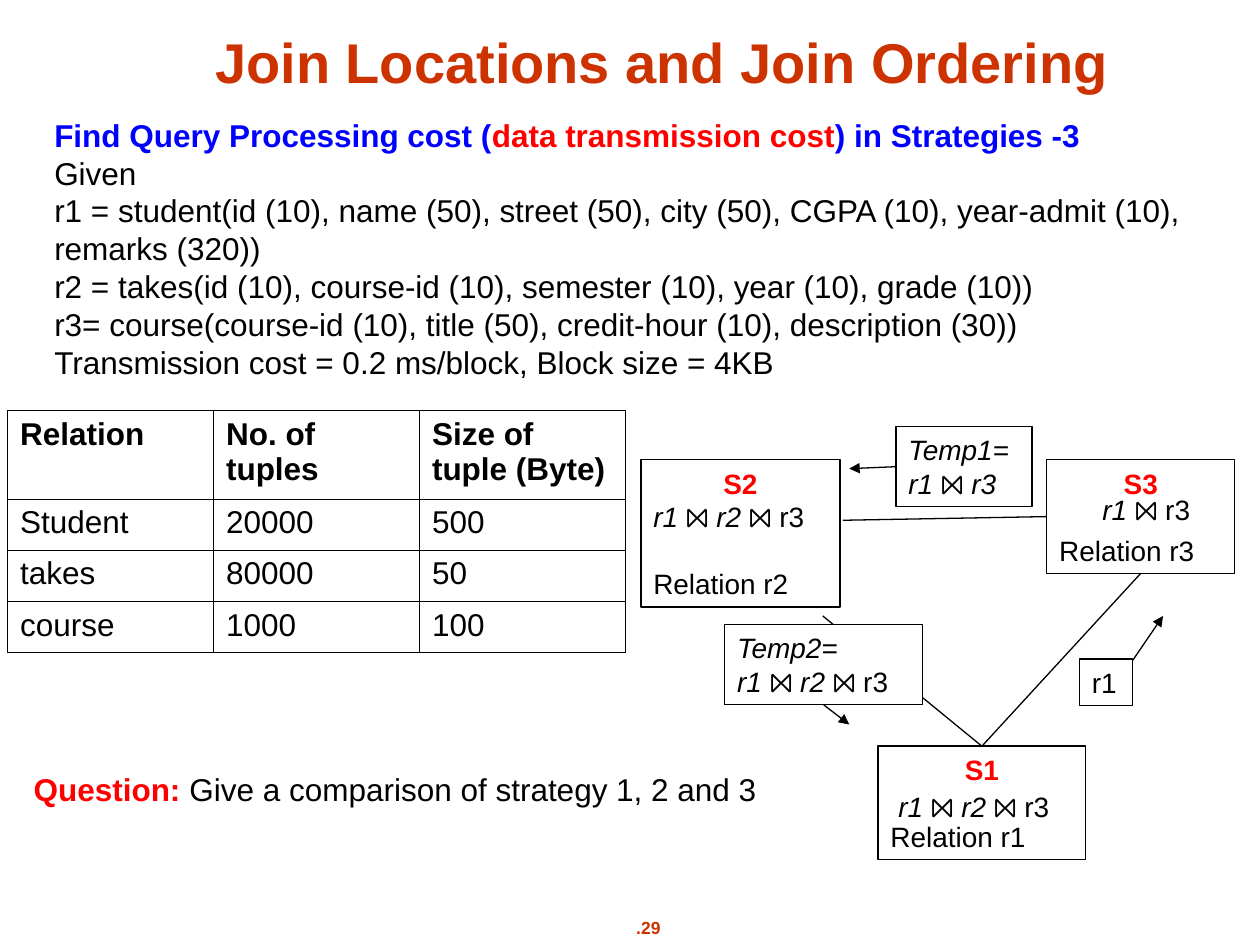
"""Build the slide on join locations and join ordering."""
import pptx
import pptx.dml.color
import pptx.enum.shapes
import pptx.enum.text
import pptx.oxml.ns
import pptx.util
from lxml import etree

Pt = pptx.util.Pt
PP_ALIGN = pptx.enum.text.PP_ALIGN
ANCHOR = pptx.enum.text.MSO_ANCHOR
FONT = "Arial"
COLORS = {"black": "000000", "white": "FFFFFF", "red": "FF0000",
          "blue": "0000FF", "title": "CC3300"}
LINE_FACTOR = 1.2
TABLE_ROWS = [
    ["Relation", "No. of tuples", "Size of tuple (Byte)"],
    ["Student", "20000", "500"],
    ["takes", "80000", "50"],
    ["course", "1000", "100"],
]
GIVEN = [
    "Given",
    "r1 = student(id (10), name (50), street (50), city (50), CGPA (10), year-admit (10), remarks (320))",
    "r2 = takes(id (10), course-id (10), semester (10), year (10), grade (10))",
    "r3= course(course-id (10), title (50), credit-hour (10), description (30))",
    "Transmission cost = 0.2 ms/block, Block size = 4KB",
]
ITALIC = {"italic": True}
RED_BOLD = {"color": "red", "bold": True}
BLUE_BOLD = {"color": "blue", "bold": True}
JOIN_TWO = [("r1 ", ITALIC), ("⨝ r3", {})]
JOIN_THREE = [("r1 ", ITALIC), ("⨝ ", {}), ("r2 ", ITALIC), ("⨝ r3", {})]


def rgb(name):
    """Return the named colour."""
    return pptx.dml.color.RGBColor.from_string(COLORS[name])


def add_element(parent, tag, **attributes):
    """Append a drawing element to its parent."""
    return etree.SubElement(parent, pptx.oxml.ns.qn(tag), **attributes)


def style_font(font, size, color="black", bold=False, italic=False):
    """Set the typeface, size, colour and emphasis of a font."""
    font.name, font.size, font.bold, font.italic = FONT, Pt(size), bold, italic
    font.color.rgb = rgb(color)


def write_lines(text_frame, lines, size):
    """Write each list of (text, style) pairs as one paragraph."""
    text_frame.auto_size = pptx.enum.text.MSO_AUTO_SIZE.NONE
    text_frame.vertical_anchor = ANCHOR.TOP
    text_frame.word_wrap = True
    for index, line in enumerate(lines):
        paragraph = text_frame.add_paragraph() if index else text_frame.paragraphs[0]
        paragraph.alignment = PP_ALIGN.LEFT
        paragraph.line_spacing = Pt(size * LINE_FACTOR)
        paragraph.space_before = Pt(0)
        for text, style in line:
            run = paragraph.add_run()
            run.text = text
            style_font(run.font, size, **style)


def place(shape, bounds):
    """Move and size a shape to left, top, width and height."""
    shape.left, shape.top, shape.width, shape.height = map(Pt, bounds)


def add_title(slide, text):
    """Fill the title placeholder."""
    title = slide.shapes.title
    place(title, (60.5, 9.4, 635.8, 48.2))
    title.text_frame.text = text
    title.text_frame.auto_size = pptx.enum.text.MSO_AUTO_SIZE.NONE
    title.text_frame.vertical_anchor = ANCHOR.BOTTOM
    paragraph = title.text_frame.paragraphs[0]
    paragraph.alignment = PP_ALIGN.CENTER
    style_font(paragraph.runs[0].font, 32, "title", bold=True)


def add_body(slide):
    """Fill the body placeholder with the given facts, without bullets."""
    body = slide.placeholders[1]
    place(body, (23.8, 62.6, 725, 158.4))
    heading = [("Find Query Processing cost (", BLUE_BOLD),
               ("data transmission cost", RED_BOLD),
               (") in Strategies -3", BLUE_BOLD)]
    write_lines(body.text_frame, [heading] + [[(text, {})] for text in GIVEN], 18)
    for paragraph in body.text_frame.paragraphs:
        properties = paragraph._p.get_or_add_pPr()
        properties.set("marL", "0")
        properties.set("indent", "0")
        add_element(properties, "a:buNone")


def add_text(slide, bounds, runs, size=16):
    """Add a one-line text box."""
    box = slide.shapes.add_textbox(*map(Pt, bounds))
    write_lines(box.text_frame, [runs], size)
    return box


def add_box(shapes, bounds, lines, fill=None):
    """Add an outlined rectangle with text."""
    box = shapes.add_shape(pptx.enum.shapes.MSO_SHAPE.RECTANGLE, *map(Pt, bounds))
    box.shadow.inherit = False
    if fill:
        box.fill.solid()
        box.fill.fore_color.rgb = rgb(fill)
    else:
        box.fill.background()
    box.line.color.rgb = rgb("black")
    box.line.width = Pt(0.75)
    write_lines(box.text_frame, lines, 16)
    return box


def add_site(slide, bounds, site, relation, gap_lines):
    """Add a site box with its relation some lines below its name."""
    box = add_box(slide.shapes, bounds, [[(site, RED_BOLD)], [(relation, {})]])
    name, stored = box.text_frame.paragraphs
    name.alignment = PP_ALIGN.CENTER
    stored.space_before = Pt(gap_lines * 16 * LINE_FACTOR)
    return box


def add_line(shapes, start, end, begin=None, finish=None, arrow=False):
    """Add a straight line, joined to (shape, side) pairs where given."""
    line = shapes.add_connector(pptx.enum.shapes.MSO_CONNECTOR.STRAIGHT,
                                *map(Pt, start + end))
    if begin:
        line.begin_connect(*begin)
    if finish:
        line.end_connect(*finish)
    line.line.color.rgb = rgb("black")
    line.line.width = Pt(0.75)
    if arrow:
        add_element(line.line._get_or_add_ln(), "a:tailEnd", type="triangle")
    add_element(line._element.spPr, "a:effectLst")


def add_transfer(slide, bounds, lines, start, end, side=None, fill=None):
    """Add a grouped box and arrow for data sent between sites."""
    group = slide.shapes.add_group_shape()
    box = add_box(group.shapes, bounds, lines, fill)
    begin = None if side is None else (box, side)
    add_line(group.shapes, start, end, begin, arrow=True)


def add_relation_table(slide):
    """Add the bordered table of relation sizes."""
    heights = [50.4, 29.2, 29.2, 29.2]
    frame = slide.shapes.add_table(len(TABLE_ROWS), 3, Pt(4.3), Pt(234.7),
                                   Pt(353.1), Pt(sum(heights)))
    table = frame.table
    table.first_row = table.horz_banding = False
    for column in table.columns:
        column.width = Pt(117.7)
    for row_index, values in enumerate(TABLE_ROWS):
        table.rows[row_index].height = Pt(heights[row_index])
        for column_index, value in enumerate(values):
            cell = table.cell(row_index, column_index)
            cell.text_frame.text = value
            style_font(cell.text_frame.paragraphs[0].runs[0].font, 18,
                       bold=row_index == 0)
            properties = cell._tc.get_or_add_tcPr()
            for edge in ("a:lnL", "a:lnR", "a:lnT", "a:lnB"):
                border = add_element(properties, edge, w=str(Pt(0.45)))
                solid = add_element(border, "a:solidFill")
                add_element(solid, "a:srgbClr", val=COLORS["black"])
            cell.fill.background()


def main():
    """Build and save the slide."""
    presentation = pptx.Presentation()
    presentation.slide_width, presentation.slide_height = Pt(720), Pt(540)
    slide = presentation.slides.add_slide(presentation.slide_layouts[1])
    add_title(slide, "Join Locations and Join Ordering")
    add_body(slide)
    page = add_text(slide, (337.7, 520.6, 65.5, 19.4),
                    [(".29", {"color": "title", "bold": True})], 10)
    page.text_frame.word_wrap = False
    page.text_frame.paragraphs[0].alignment = PP_ALIGN.CENTER

    site_2 = add_site(slide, (366.2, 262.8, 113.8, 84.2), "S2", "Relation r2", 2)
    site_1 = add_site(slide, (501.8, 426.4, 118.6, 64.8), "S1", "Relation r1", 1)
    site_3 = add_site(slide, (598.2, 262.8, 107.4, 64.8), "S3", "Relation r3", 1)
    add_line(slide.shapes, (481.6, 297.3), (598.2, 295.2), finish=(site_3, 1))
    add_line(slide.shapes, (652, 328), (561, 426), (site_3, 2), (site_1, 0))
    add_line(slide.shapes, (470.2, 352), (561, 426), finish=(site_1, 0))

    add_text(slide, (506.2, 447.8, 116.6, 26.6), JOIN_THREE)
    add_text(slide, (site_2.left.pt, 281.7, 109.4, 26.6), JOIN_THREE)
    add_text(slide, (622.8, 278, 89.3, 26.6), JOIN_TWO)

    add_transfer(slide, (616.9, 376.6, 30.4, 26.6), [[("r1", {})]],
                 (647.3, 377.3), (664.6, 352))
    add_transfer(slide, (512, 243.8, 77.8, 45.8),
                 [[("Temp1= r1 ", ITALIC), ("⨝ ", {}), ("r3", ITALIC)]],
                 (512, 266.7), (485.3, 267.8), side=1)
    add_transfer(slide, (414.2, 357, 113, 45.8),
                 [[("Temp2=", ITALIC)], JOIN_THREE],
                 (470.7, 402.8), (485.3, 414), side=2, fill="white")

    add_relation_table(slide)
    add_text(slide, (12.2, 436.6, 486.7, 28.8),
             [("Question:", RED_BOLD),
              (" Give a comparison of strategy 1, 2 and 3", {})], 18)
    presentation.save("out.pptx")


if __name__ == "__main__":
    main()
